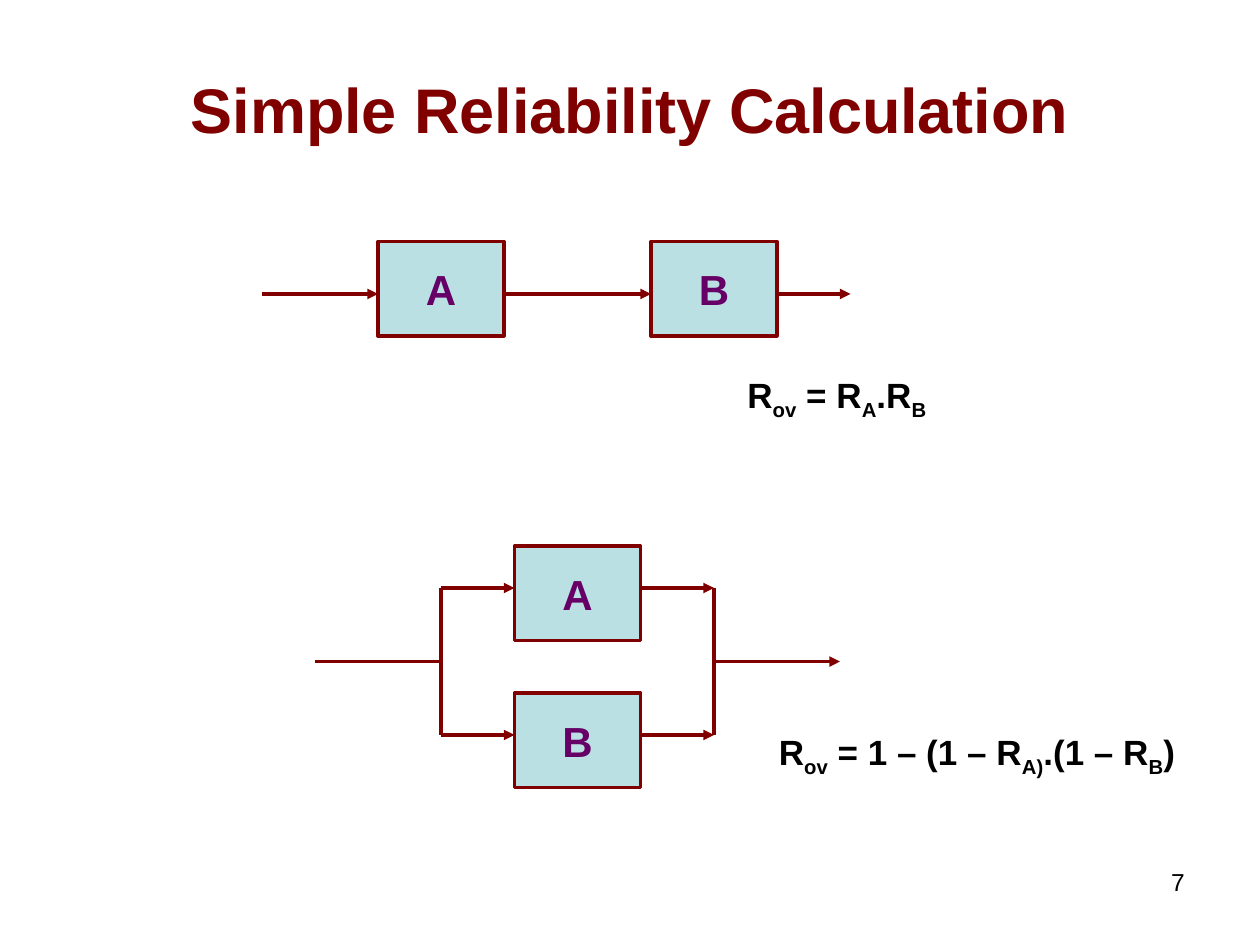
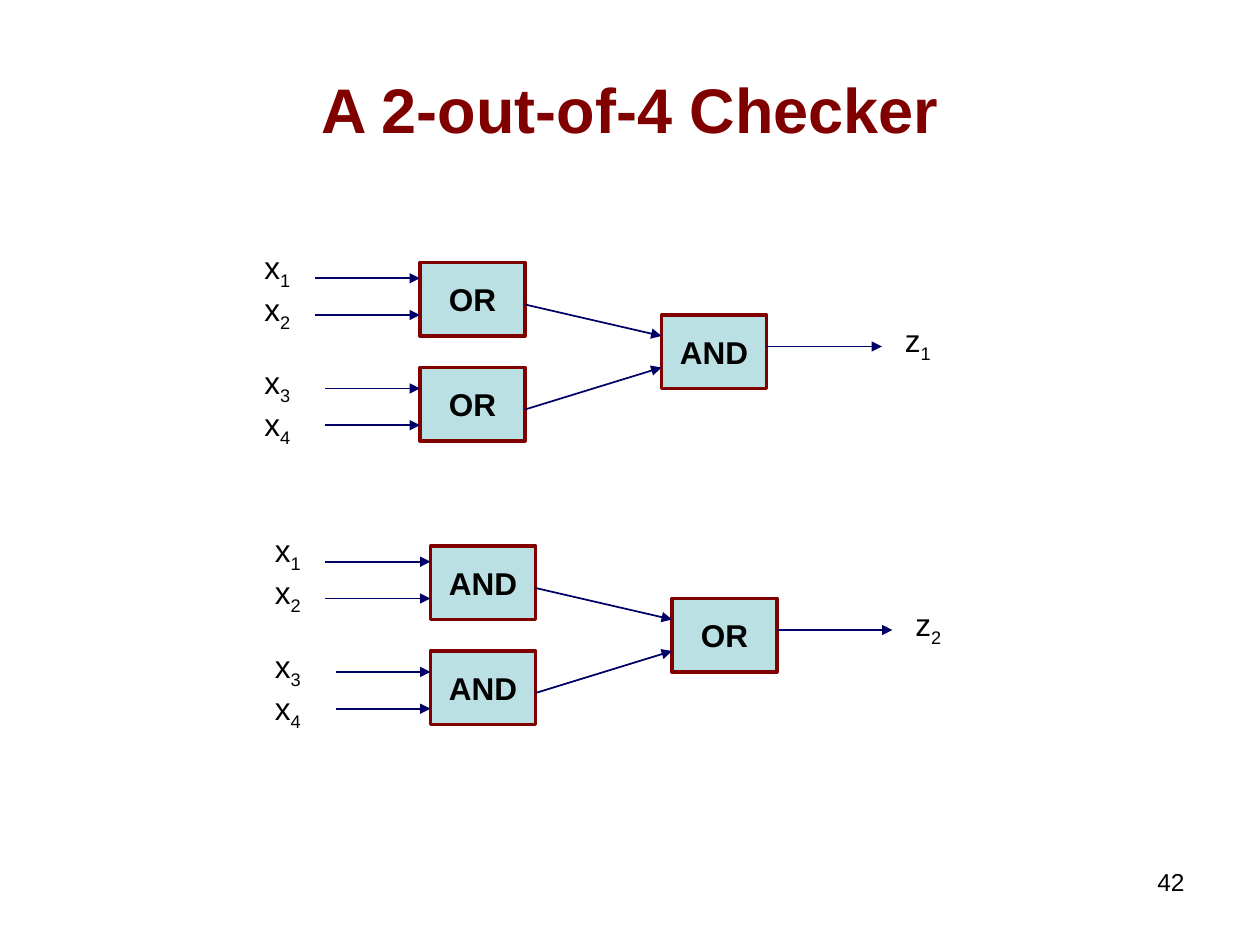
from dataclasses import dataclass

import pptx
import pptx.dml.color
import pptx.enum.shapes
import pptx.enum.text
import pptx.oxml.ns
import lxml.etree

Pt = pptx.util.Pt
RGB = pptx.dml.color.RGBColor
Align = pptx.enum.text.PP_ALIGN
Anchor = pptx.enum.text.MSO_ANCHOR
qn = pptx.oxml.ns.qn


@dataclass(frozen=True)
class Theme:
    font: str = "Arial"
    maroon: RGB = RGB(0x80, 0x00, 0x00)
    purple: RGB = RGB(0x66, 0x00, 0x66)
    navy: RGB = RGB(0x00, 0x00, 0x66)
    black: RGB = RGB(0x00, 0x00, 0x00)
    block_fill: RGB = RGB(0xBB, 0xE0, 0xE3)
    title_size: int = 36
    unit_size: int = 24
    formula_size: int = 20
    gate_size: int = 18
    number_size: int = 14
    block_line: int = 2
    signal_line: int = 1


theme = Theme()


def add_label(shapes, pieces, left, top, width, height, size,
              color=theme.black, bold=False, align=Align.LEFT, framed=False):
    """Add text whose every second piece is a subscript, with or without a block."""
    bounds = Pt(left), Pt(top), Pt(width), Pt(height)
    if framed:
        label = shapes.add_shape(pptx.enum.shapes.MSO_SHAPE.RECTANGLE, *bounds)
        label.shadow.inherit = False
        label.fill.solid()
        label.fill.fore_color.rgb = theme.block_fill
        label.line.color.rgb = theme.maroon
        label.line.width = Pt(theme.block_line)
        align = Align.CENTER
    else:
        label = shapes.add_textbox(*bounds)
    frame = label.text_frame
    frame.word_wrap = not framed
    frame.vertical_anchor = Anchor.MIDDLE if framed else Anchor.TOP
    paragraph = frame.paragraphs[0]
    paragraph.alignment = align
    for index, piece in enumerate(pieces):
        run = paragraph.add_run()
        run.text = piece
        run.font.name = theme.font
        run.font.size = Pt(size)
        run.font.bold = bold
        run.font.color.rgb = color
        if index % 2:
            run._r.get_or_add_rPr().set("baseline", "-25000")


def add_wire(shapes, x1, y1, x2, y2, color, width, arrow=True):
    wire = shapes.add_connector(pptx.enum.shapes.MSO_CONNECTOR.STRAIGHT,
                                Pt(x1), Pt(y1), Pt(x2), Pt(y2))
    wire.line.color.rgb = color
    wire.line.width = Pt(width)
    if arrow:
        lxml.etree.SubElement(wire.line._get_or_add_ln(), qn("a:tailEnd"), type="triangle")
    lxml.etree.SubElement(wire._element.spPr, qn("a:effectLst"))


deck = pptx.Presentation()
deck.slide_width, deck.slide_height = Pt(720), Pt(540)

# Slides with their titles and page numbers
slides = []
for heading, number in (("Simple Reliability Calculation", "7"),
                        ("A 2-out-of-4 Checker", "42")):
    slide = deck.slides.add_slide(deck.slide_layouts[5])
    title = slide.shapes.title
    title.left, title.top, title.width, title.height = Pt(36), Pt(21.6), Pt(648), Pt(81)
    title.text_frame.vertical_anchor = Anchor.MIDDLE
    paragraph = title.text_frame.paragraphs[0]
    paragraph.alignment = Align.CENTER
    run = paragraph.add_run()
    run.text = heading
    run.font.name = theme.font
    run.font.size = Pt(theme.title_size)
    run.font.bold = True
    run.font.color.rgb = theme.maroon
    add_label(slide.shapes, [number], 516, 492, 168, 37.5, theme.number_size,
              align=Align.RIGHT)
    slides.append(slide)

reliability, checker = slides

# Units of the series system (top) and the parallel system (bottom)
for name, left, top in (("A", 216, 138), ("B", 372, 138), ("A", 294, 312), ("B", 294, 396)):
    add_label(reliability.shapes, [name], left, top, 72, 54, theme.unit_size,
              theme.purple, bold=True, framed=True)

# Series path
for start, end in ((150, 216), (288, 372), (444, 486)):
    add_wire(reliability.shapes, start, 168, end, 168, theme.maroon, theme.block_line)

# Parallel branches, the two joining bars, then the common input and output
fork, merge, upper, lower = 252, 408, 336, 420
middle = (upper + lower) / 2
for branch in (upper, lower):
    for start, end in ((fork, 294), (366, merge)):
        add_wire(reliability.shapes, start, branch, end, branch,
                 theme.maroon, theme.block_line)
for bar in (fork, merge):
    add_wire(reliability.shapes, bar, lower, bar, upper,
             theme.maroon, theme.block_line, arrow=False)
for start, end, arrow in ((180, fork, False), (merge, 480, True)):
    add_wire(reliability.shapes, start, middle, end, middle,
             theme.maroon, theme.block_line, arrow)

# Overall reliability formulas
for formula, left, top, width in (
        (["R", "ov", " = R", "A", ".R", "B"], 420, 210, 216),
        (["R", "ov", " = 1 – (1 – R", "A)", ".(1 – R", "B", ")"], 438, 414, 252)):
    add_label(reliability.shapes, formula, left, top, width, 34.5,
              theme.formula_size, bold=True)

# Checker circuits: the second repeats the first, shifted and with gates swapped
for output, input_gate, output_gate, dx, dy in (("1", "OR", "AND", 0, 0),
                                                ("2", "AND", "OR", 6, 162)):
    circuit = checker.shapes.add_group_shape().shapes

    # Gates
    for gate, left, top in ((input_gate, 240, 150), (input_gate, 240, 210),
                            (output_gate, 378, 180)):
        add_label(circuit, [gate], left + dx, top + dy, 60, 42, theme.gate_size,
                  bold=True, framed=True)

    # Signals: four inputs, the output, and the two between gates
    for x1, y1, x2, y2 in ((180, 159, 240, 159), (180, 180, 240, 180),
                           (186, 222, 240, 222), (186, 243, 240, 243),
                           (438, 198, 504, 198),
                           (300, 174, 378, 192), (300, 234, 378, 210)):
        add_wire(circuit, x1 + dx, y1 + dy, x2 + dx, y2 + dy,
                 theme.navy, theme.signal_line)

    # Signal names
    for letter, index, left, top in (("x", "1", 144, 138), ("x", "2", 144, 162),
                                     ("x", "3", 144, 204), ("x", "4", 144, 228),
                                     ("z", output, 510, 180)):
        add_label(circuit, [letter, index], left + dx, top + dy, 42, 31.5,
                  theme.gate_size)

deck.save("out.pptx")
